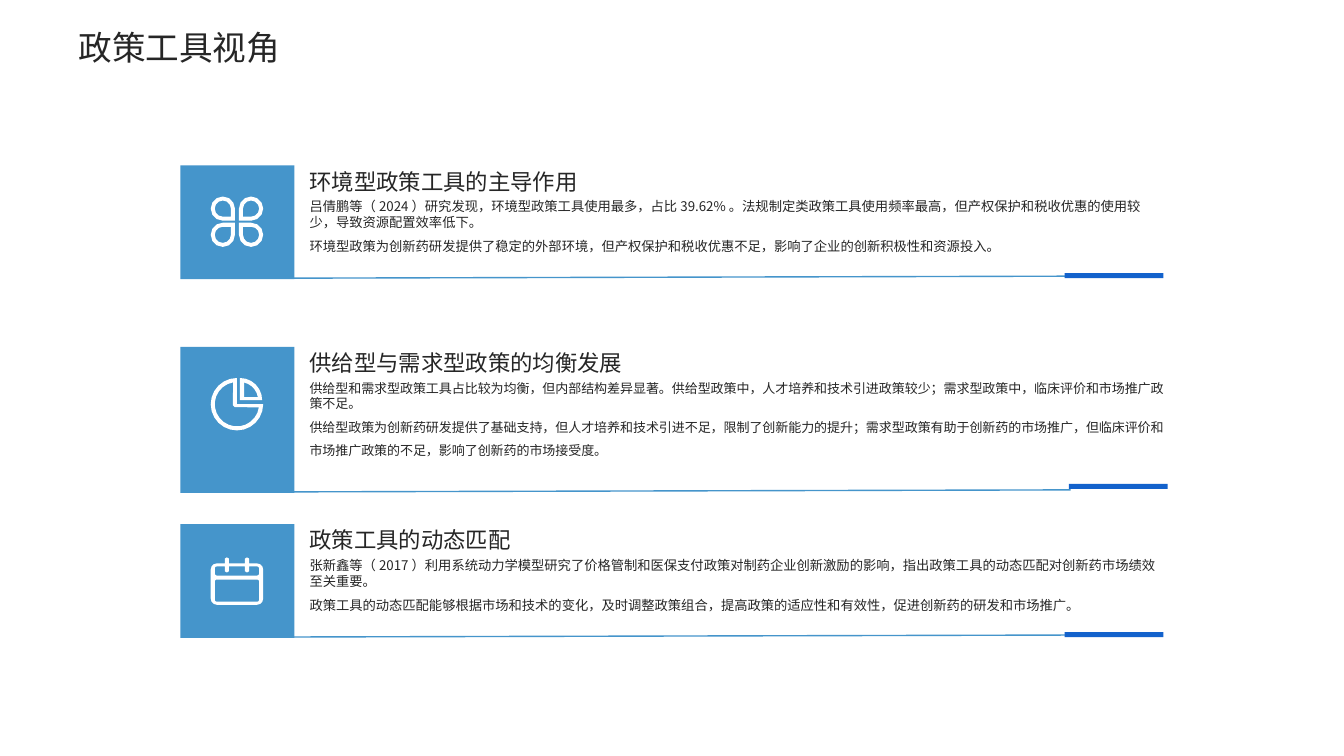
from dataclasses import dataclass
from itertools import product
from math import ceil, cos, radians, sin

from lxml.etree import SubElement
from pptx import Presentation
from pptx.dml.color import RGBColor
from pptx.enum.shapes import MSO_CONNECTOR, MSO_SHAPE
from pptx.enum.text import MSO_ANCHOR, MSO_AUTO_SIZE
from pptx.oxml.ns import qn
from pptx.util import Inches, Pt


@dataclass(frozen=True)
class Theme:
    font: str = "Noto Sans CJK SC"
    ink: str = "262626"
    tile: str = "4595CB"
    accent: str = "1362CC"
    icon: str = "FFFFFF"
    title: float = 24
    heading: float = 16
    body: float = 9.5
    dense_body: float = 9.3
    rule: float = 1


class SlideBuilder:
    def __init__(self, page, theme):
        self.page = page
        self.theme = theme

    def fill(self, shape, color):
        shape.shadow.inherit = False
        shape.fill.solid()
        shape.fill.fore_color.rgb = RGBColor.from_string(color)
        shape.line.fill.background()

    def block(self, left, top, width, height, color):
        shape = self.page.shapes.add_shape(
            MSO_SHAPE.RECTANGLE, Inches(left), Inches(top), Inches(width), Inches(height)
        )
        self.fill(shape, color)

    def outline(self, contours):
        contours = [[(Inches(x), Inches(y)) for x, y in points] for points in contours]
        builder = self.page.shapes.build_freeform(*contours[0][0], scale=1)
        builder.add_line_segments(contours[0][1:], close=True)
        for points in contours[1:]:
            builder.move_to(*points[0])
            builder.add_line_segments(points[1:], close=True)
        self.fill(builder.convert_to_shape(), self.theme.icon)

    def line(self, start, end):
        rule = self.page.shapes.add_connector(
            MSO_CONNECTOR.STRAIGHT, *(Inches(value) for value in start + end)
        )
        rule.line.color.rgb = RGBColor.from_string(self.theme.tile)
        rule.line.width = Pt(self.theme.rule)
        SubElement(rule._element.spPr, qn("a:effectLst"))

    def text(self, left, top, width, height, passages, size,
             anchor=MSO_ANCHOR.TOP, inset=True):
        box = self.page.shapes.add_textbox(
            Inches(left), Inches(top), Inches(width), Inches(height)
        )
        frame = box.text_frame
        frame.word_wrap = True
        frame.vertical_anchor = anchor
        if inset:
            frame.auto_size = MSO_AUTO_SIZE.SHAPE_TO_FIT_TEXT
        else:
            frame.margin_left = frame.margin_right = 0
            frame.margin_top = frame.margin_bottom = 0
        frame.text = "\n".join(words for words, spacing in passages)
        for para, (words, spacing) in zip(frame.paragraphs, passages):
            para.line_spacing = spacing
            para._p.get_or_add_pPr().set("hangingPunct", "0")
            for span in para.runs:
                span.font.size = Pt(size)
                span.font.name = self.theme.font
                span.font.color.rgb = RGBColor.from_string(self.theme.ink)
                SubElement(span._r.get_or_add_rPr(), qn("a:ea"), typeface=self.theme.font)

    def row(self, top, height, heading, finding, effect, size, shift, bar_top):
        bottom = top + height
        self.block(1.79, top, 1.13, height, self.theme.tile)
        self.text(3.07, top + 0.33, 8.48, 0.64, [(finding, 1.0), (effect, 1.5)], size,
                  inset=False)
        self.line((2.77 + shift, bottom - 0.01), (10.58 + shift, bottom - 0.03))
        self.block(10.56 + shift, bar_top, 0.98, 0.05, self.theme.accent)
        self.text(3.07, top - 0.02, 8.48, 0.31, [(heading, 1.3)], self.theme.heading,
                  anchor=MSO_ANCHOR.BOTTOM, inset=False)


def arc(x, y, radius, start, end, stride=30):
    steps = ceil((end - start) / stride)
    angles = [radians(start + (end - start) * step / steps) for step in range(steps + 1)]
    return [(x + radius * cos(angle), y + radius * sin(angle)) for angle in angles]


def rounded(left, top, right, bottom, radius, tabs=()):
    return [
        *arc(right - radius, bottom - radius, radius, 0, 90),
        *arc(left + radius, bottom - radius, radius, 90, 180),
        *arc(left + radius, top + radius, radius, 180, 270),
        *tabs,
        *arc(right - radius, top + radius, radius, 270, 360),
    ]


def clover(x, y):
    contours = []
    for side, level, radius in product((-1, 1), (-1, 1), (0.12, 0.08)):
        petal = arc(0, 0, radius, 90, 360) + [(radius, radius)]
        contours.append(
            [(x + side * (0.14 - px), y + level * (0.13 - py)) for px, py in petal]
        )
    return contours


def pie(x, y):
    wedge_x, wedge_y = x + 0.03, y - 0.04
    return [
        arc(x, y, 0.26, 0, 270, 15) + [(x, y)],
        arc(x, y, 0.22, 8, 260, 15) + [(x - 0.04, y + 0.01), (x - 0.02, y + 0.03)],
        arc(wedge_x, wedge_y, 0.22, 270, 360, 15) + [(wedge_x, wedge_y)],
        arc(wedge_x, wedge_y, 0.18, 283, 350, 15) + [(wedge_x + 0.04, wedge_y - 0.03)],
    ]


def calendar(x, y):
    def pegs(edge, reach):
        profile = [(-0.02, 0), (-0.02, 0.8), (0, 1), (0.02, 0.8), (0.02, 0)]
        return [
            (peg + across, edge + along * reach)
            for peg in (x - 0.1, x + 0.1)
            for across, along in profile
        ]

    return [
        rounded(x - 0.26, y - 0.21, x + 0.26, y + 0.2, 0.06, pegs(y - 0.21, -0.06)),
        rounded(x - 0.22, y - 0.18, x + 0.22, y - 0.09, 0.02, pegs(y - 0.18, 0.06)),
        rounded(x - 0.22, y - 0.05, x + 0.22, y + 0.17, 0.02),
    ]


def main():
    deck = Presentation()
    deck.slide_width = Inches(13.33)
    deck.slide_height = Inches(7.5)
    theme = Theme()
    builder = SlideBuilder(deck.slides.add_slide(deck.slide_layouts[6]), theme)

    rows = [
        (1.64, 1.13, "环境型政策工具的主导作用",
         "吕倩鹏等（2024）研究发现，环境型政策工具使用最多，占比39.62%。法规制定类政策工具使用频率最高，但产权保护和税收优惠的使用较少，导致资源配置效率低下。",
         "环境型政策为创新药研发提供了稳定的外部环境，但产权保护和税收优惠不足，影响了企业的创新积极性和资源投入。",
         theme.body, 0, 2.71),
        (3.44, 1.45, "供给型与需求型政策的均衡发展",
         "供给型和需求型政策工具占比较为均衡，但内部结构差异显著。供给型政策中，人才培养和技术引进政策较少；需求型政策中，临床评价和市场推广政策不足。",
         "供给型政策为创新药研发提供了基础支持，但人才培养和技术引进不足，限制了创新能力的提升；需求型政策有助于创新药的市场推广，但临床评价和市场推广政策的不足，影响了创新药的市场接受度。",
         theme.dense_body, 0.04, 4.8),
        (5.2, 1.13, "政策工具的动态匹配",
         "张新鑫等（2017）利用系统动力学模型研究了价格管制和医保支付政策对制药企业创新激励的影响，指出政策工具的动态匹配对创新药市场绩效至关重要。",
         "政策工具的动态匹配能够根据市场和技术的变化，及时调整政策组合，提高政策的适应性和有效性，促进创新药的研发和市场推广。",
         theme.body, 0, 6.27),
    ]
    for row in rows:
        builder.row(*row)
    for icon in (clover(2.35, 2.2), pie(2.35, 4.01), calendar(2.35, 5.8)):
        builder.outline(icon)
    builder.text(0.68, 0.18, 11.71, 0.46, [("政策工具视角", 1.1)], theme.title)

    deck.save("out.pptx")


if __name__ == "__main__":
    main()
